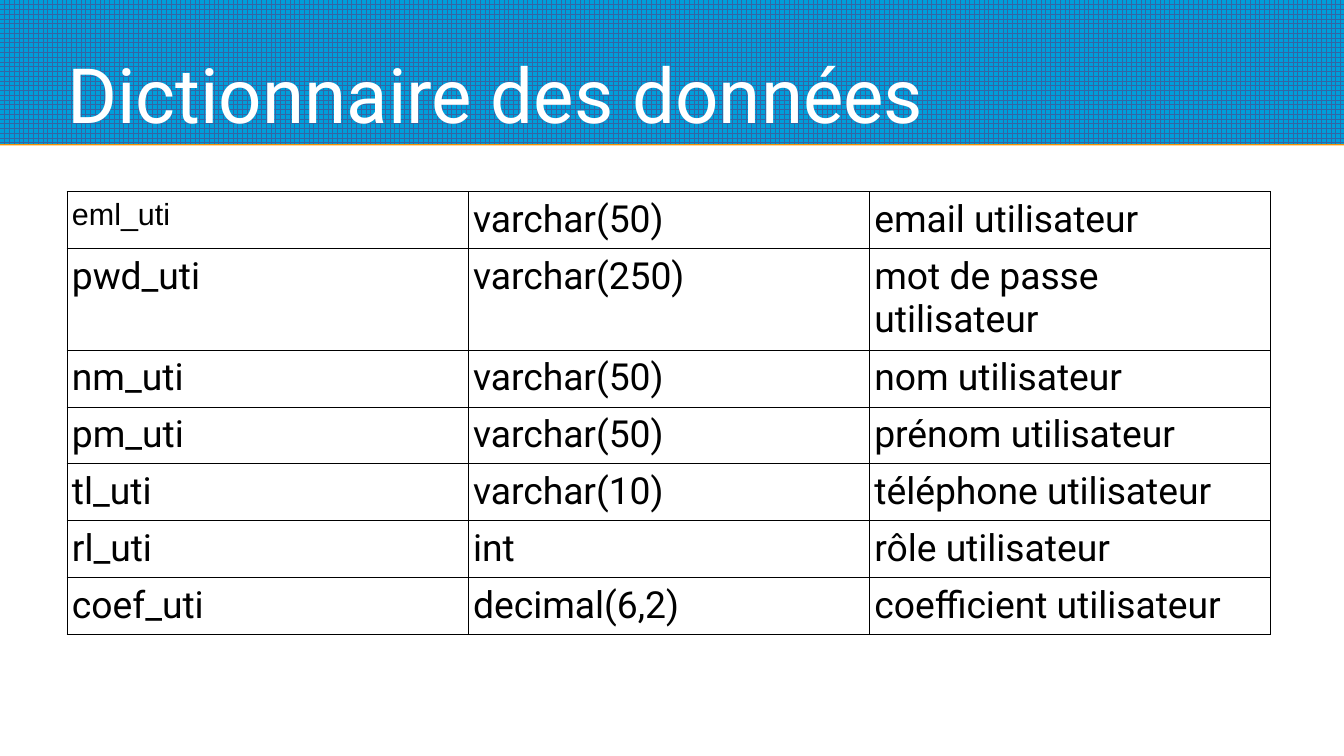
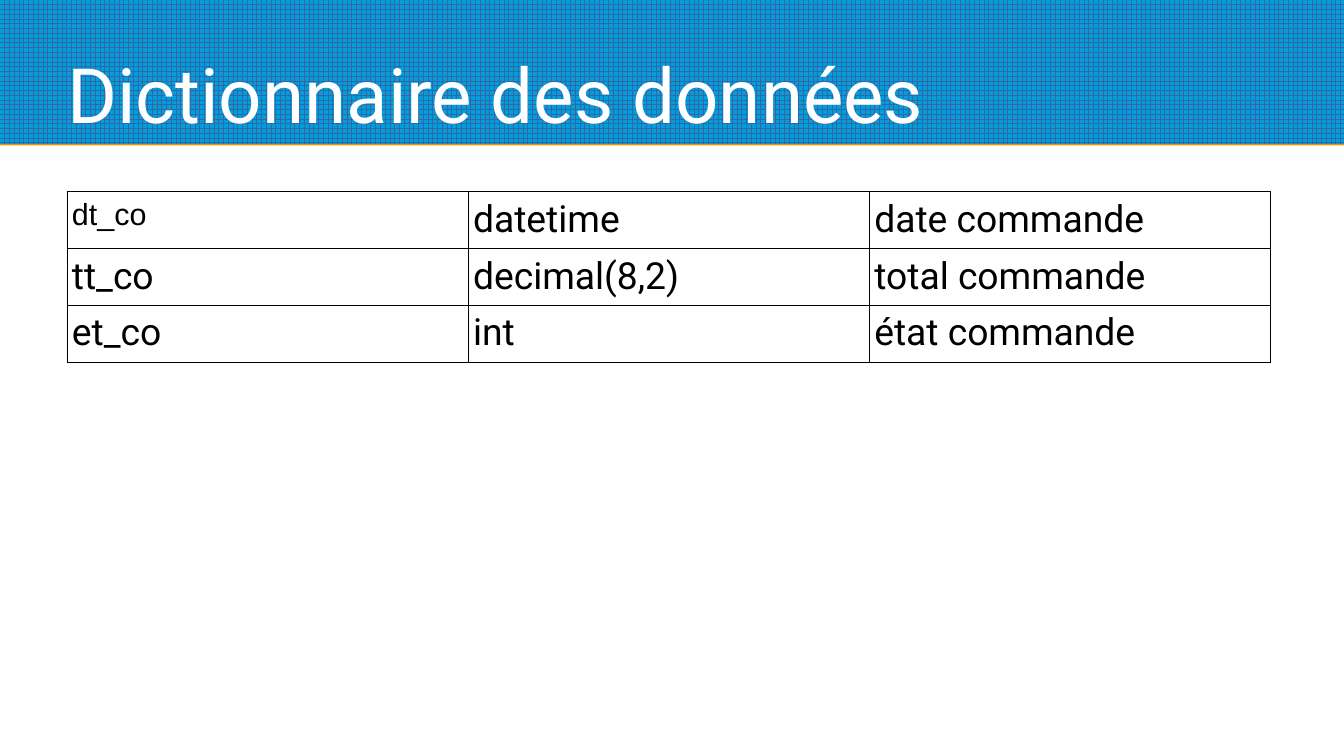
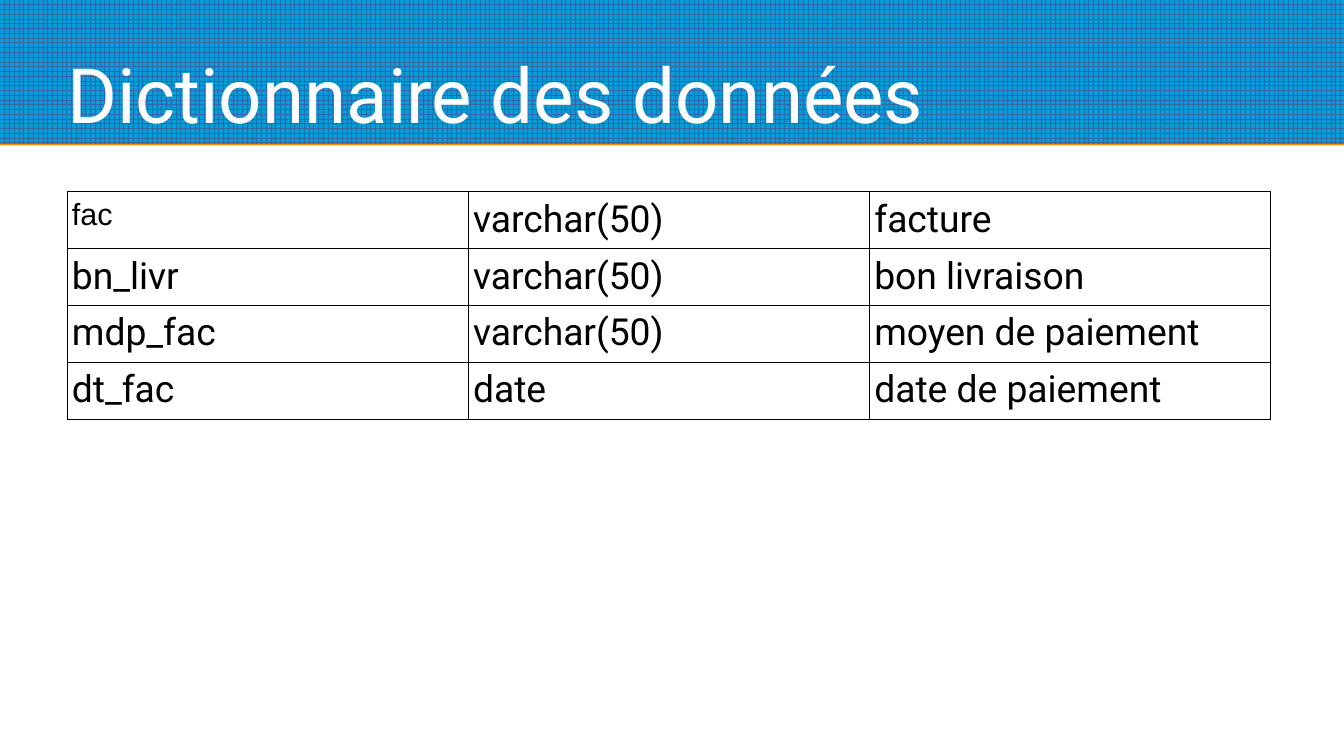
from lxml import etree
from pptx import Presentation
from pptx.dml.color import RGBColor
from pptx.enum.dml import MSO_PATTERN as Pattern
from pptx.enum.shapes import MSO_SHAPE as Shape
from pptx.enum.text import MSO_ANCHOR as Anchor
from pptx.oxml.ns import qn
from pptx.util import Inches, Pt

WHITE = RGBColor(0xFF, 0xFF, 0xFF)
BLACK = RGBColor(0x00, 0x00, 0x00)
BAND_BLUE = RGBColor(0x00, 0x9E, 0xDA)
GRID_BLUE = RGBColor(0x34, 0x65, 0xA4)
SHADOW_ORANGE = RGBColor(0xF4, 0x91, 0x00)

SLIDE_WIDTH, SLIDE_HEIGHT = 11.02, 6.2
BAND_BOX = (0, 0, SLIDE_WIDTH, 1.18)
TITLE_BOX = (0.55, 0.1, 9.92, 1.04)
TABLE_ORIGIN = (0.55, 1.57)
COLUMN_WIDTH, FIRST_ROW_HEIGHT, ROW_HEIGHT = 3.29, 0.43, 0.42
BORDER_WIDTH = Pt(0.57)

TITLE = "Dictionnaire des données"
TITLE_FONT = {"name": "Roboto", "size": Pt(45)}
KEY_FONT = {"name": "Arial", "size": Pt(18)}
CELL_FONT = {"name": "Roboto", "size": Pt(22)}
CELL_MARGINS = {
    "margin_left": Inches(0.04), "margin_right": Inches(0.04),
    "margin_top": Inches(0.05), "margin_bottom": Inches(0.05),
}
TITLE_FRAME = {
    "margin_left": 0, "margin_right": 0, "margin_top": 0, "margin_bottom": 0,
    "word_wrap": True, "vertical_anchor": Anchor.BOTTOM,
}

DICTIONARIES = [
    [
        ("eml_uti", "varchar(50)", "email utilisateur"),
        ("pwd_uti", "varchar(250)", "mot de passe utilisateur"),
        ("nm_uti", "varchar(50)", "nom utilisateur"),
        ("pm_uti", "varchar(50)", "prénom utilisateur"),
        ("tl_uti", "varchar(10)", "téléphone utilisateur"),
        ("rl_uti", "int", "rôle utilisateur"),
        ("coef_uti", "decimal(6,2)", "coefficient utilisateur"),
    ],
    [
        ("dt_co", "datetime", "date commande"),
        ("tt_co", "decimal(8,2)", "total commande"),
        ("et_co", "int", "état commande"),
    ],
    [
        ("fac", "varchar(50)", "facture"),
        ("bn_livr", "varchar(50)", "bon livraison"),
        ("mdp_fac", "varchar(50)", "moyen de paiement"),
        ("dt_fac", "date", "date de paiement"),
    ],
]


def set_attributes(target, values):
    for name, value in values.items():
        setattr(target, name, value)


def write_text(paragraph, text, font_values, color):
    run = paragraph.add_run()
    run.text = text
    set_attributes(run.font, font_values)
    run.font.color.rgb = color


def add_color(parent, color):
    etree.SubElement(parent, qn("a:srgbClr"), val=str(color))


def add_band(slide, box):
    band = slide.shapes.add_shape(Shape.RECTANGLE, *map(Inches, box))
    band.line.fill.background()
    band.fill.patterned()
    band.fill.pattern = Pattern.LARGE_GRID
    band.fill.fore_color.rgb = GRID_BLUE
    band.fill.back_color.rgb = BAND_BLUE
    band.shadow.inherit = False
    effects = band._element.spPr.find(qn("a:effectLst"))
    shadow = etree.SubElement(
        effects, qn("a:outerShdw"), blurRad="0", dist=str(Pt(0.9)),
        dir="5400000", algn="ctr", rotWithShape="0")
    add_color(shadow, SHADOW_ORANGE)


def add_title(slide, box, text):
    frame = slide.shapes.add_textbox(*map(Inches, box)).text_frame
    set_attributes(frame, TITLE_FRAME)
    write_text(frame.paragraphs[0], text, TITLE_FONT, WHITE)


def add_borders(cell):
    properties = cell._tc.get_or_add_tcPr()
    for index, side in enumerate(("a:lnL", "a:lnR", "a:lnT", "a:lnB")):
        line = etree.Element(qn(side), w=str(BORDER_WIDTH))
        add_color(etree.SubElement(line, qn("a:solidFill")), BLACK)
        properties.insert(index, line)


def add_dictionary(slide, origin, rows):
    column_count = len(rows[0])
    heights = [FIRST_ROW_HEIGHT] + [ROW_HEIGHT] * (len(rows) - 1)
    size = (COLUMN_WIDTH * column_count, sum(heights))
    table = slide.shapes.add_table(
        len(rows), column_count, *map(Inches, origin + size)).table
    set_attributes(table, {"first_row": False, "horz_banding": False})
    for column in table.columns:
        column.width = Inches(COLUMN_WIDTH)
    for row_index, (values, height) in enumerate(zip(rows, heights)):
        table.rows[row_index].height = Inches(height)
        for column_index, text in enumerate(values):
            cell = table.cell(row_index, column_index)
            set_attributes(cell, CELL_MARGINS)
            cell.fill.background()
            add_borders(cell)
            font = KEY_FONT if row_index == column_index == 0 else CELL_FONT
            write_text(cell.text_frame.paragraphs[0], text, font, BLACK)


def add_dictionary_slide(presentation, rows):
    slide = presentation.slides.add_slide(presentation.slide_layouts[6])
    add_band(slide, BAND_BOX)
    add_title(slide, TITLE_BOX, TITLE)
    add_dictionary(slide, TABLE_ORIGIN, rows)


def main():
    presentation = Presentation()
    presentation.slide_width = Inches(SLIDE_WIDTH)
    presentation.slide_height = Inches(SLIDE_HEIGHT)
    for rows in DICTIONARIES:
        add_dictionary_slide(presentation, rows)
    presentation.save("out.pptx")


if __name__ == "__main__":
    main()
